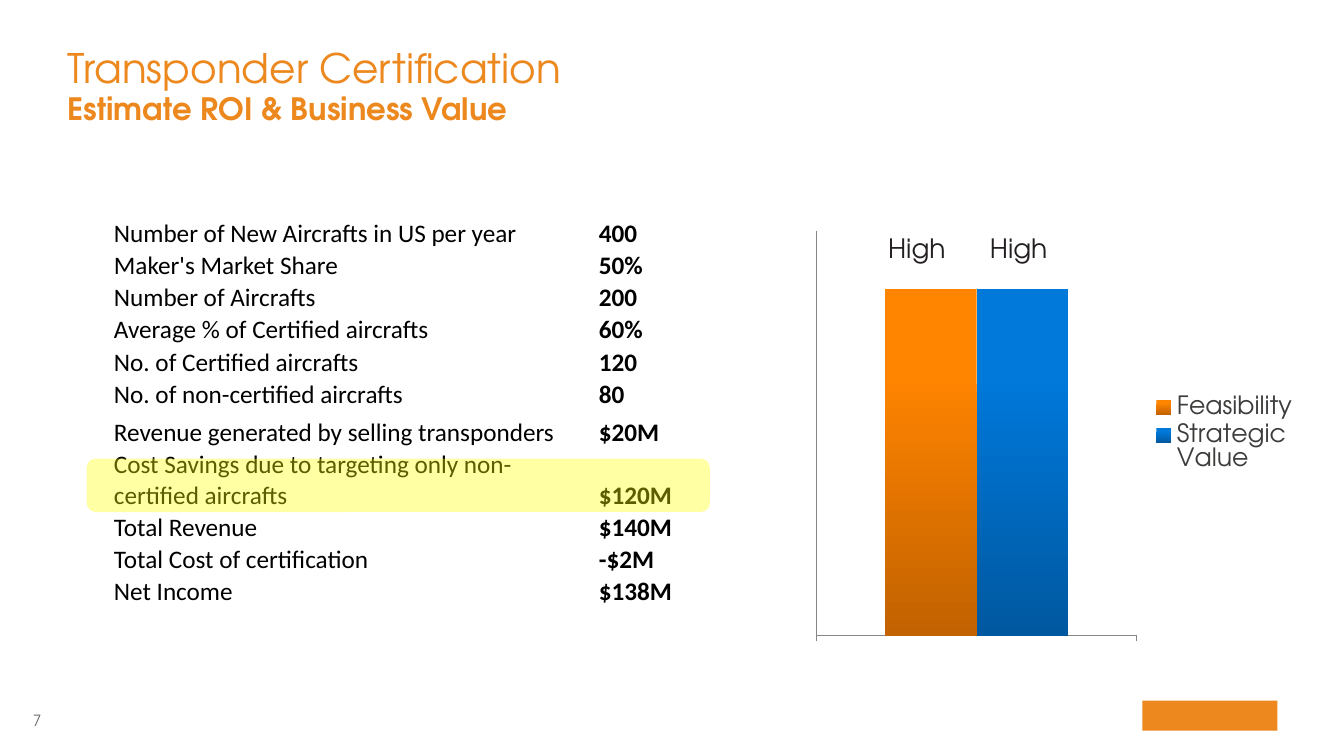
"""Build the transponder certification slide."""
from dataclasses import dataclass

from lxml import etree
from pptx import Presentation
from pptx.chart.data import CategoryChartData
from pptx.dml.color import RGBColor
from pptx.enum.chart import XL_CHART_TYPE, XL_LEGEND_POSITION, XL_TICK_LABEL_POSITION, XL_TICK_MARK
from pptx.enum.shapes import MSO_SHAPE
from pptx.enum.text import MSO_ANCHOR, MSO_AUTO_SIZE, PP_ALIGN
from pptx.oxml import parse_xml
from pptx.oxml.ns import nsdecls, qn
from pptx.util import Inches, Pt

COLUMN = XL_CHART_TYPE.COLUMN_CLUSTERED
RIGHT_SIDE = XL_LEGEND_POSITION.RIGHT
NO_LABEL = XL_TICK_LABEL_POSITION.NONE
NO_TICK, OUT_TICK = XL_TICK_MARK.NONE, XL_TICK_MARK.OUTSIDE
BLOCK, ROUND = MSO_SHAPE.RECTANGLE, MSO_SHAPE.ROUNDED_RECTANGLE
BOTTOM, NO_FIT = MSO_ANCHOR.BOTTOM, MSO_AUTO_SIZE.NONE
LEFT, RIGHT = PP_ALIGN.LEFT, PP_ALIGN.RIGHT

BRAND = "TeX Gyre Adventor"
ORANGE = "EC881D"
FLUSH = dict.fromkeys(("margin_left", "margin_right", "margin_top", "margin_bottom"), 0)
CELL = {
    "margin_left": Inches(0.01),
    "margin_right": Inches(0.01),
    "margin_top": Inches(0.01),
    "margin_bottom": 0,
    "vertical_anchor": BOTTOM,
}


@dataclass
class Row:
    """One line of the estimate."""
    label: str
    value: str
    height: float = 0.32


@dataclass
class Bar:
    """One chart series with its shading."""
    name: str
    value: int
    top: str
    base: str


@dataclass
class Note:
    """A short free text."""
    text: str
    box: tuple[float, float, float, float]
    size: float
    color: str
    frame: dict
    para: dict


@dataclass
class Patch:
    """A plain filled shape."""
    kind: int
    box: tuple[float, float, float, float]
    color: str
    alpha: int = 100


ROWS = [
    Row("Number of New Aircrafts in US per year", "400", 0.62),
    Row("Maker's Market Share", "50%"),
    Row("Number of Aircrafts", "200"),
    Row("Average % of Certified aircrafts", "60%"),
    Row("No. of Certified aircrafts", "120"),
    Row("No. of non-certified aircrafts", "80"),
    Row("Revenue generated by selling transponders", "$20M", 0.38),
    Row("Cost Savings due to targeting only non-certified aircrafts", "$120M", 0.62),
    Row("Total Revenue", "$140M"),
    Row("Total Cost of certification", "-$2M"),
    Row("Net Income", "$138M"),
]
BARS = [
    Bar("Feasibility", 100, "FF8400", "C26200"),
    Bar("Strategic Value", 100, "0079DB", "0058A0"),
]
NOTES = [
    Note("7", (0.22, 7.05, 0.19, 0.19), 11, "6C6C6C",
         FLUSH | {"word_wrap": False}, {"alignment": RIGHT}),
] + [
    Note("High", (8.71 + 1.01 * i, 2.27, 1.01, 0.41), 19, "231F20",
         {"word_wrap": True}, {"line_spacing": 0.95})
    for i in range(len(BARS))
]
PATCHES = [
    Patch(BLOCK, (11.33, 6.95, 1.34, 0.3), ORANGE),
    Patch(ROUND, (0.86, 4.55, 6.18, 0.53), "FFFF00", 36),
]


def apply(item, form: dict) -> None:
    """Set each format value on the item."""
    for key, value in form.items():
        setattr(item, key, value)


def paint(color, code: str) -> None:
    """Give a colour its hex value."""
    color.rgb = RGBColor.from_string(code)


def style(font, size: float, code: str, name: str = BRAND, bold: bool = False) -> None:
    """Format a font."""
    apply(font, {"size": Pt(size), "name": name, "bold": bold})
    paint(font.color, code)


def place(box: tuple) -> list:
    """Turn a box into lengths."""
    return [Inches(n) for n in box]


def add_title(slide) -> None:
    """Fill the title with its two lines."""
    title = slide.shapes.title
    apply(title, dict(zip(("left", "top", "width", "height"), place((0.67, 0.25, 12, 1.02)))))
    frame = title.text_frame
    apply(frame, FLUSH | {"vertical_anchor": BOTTOM, "word_wrap": True, "auto_size": NO_FIT})
    para = frame.paragraphs[0]
    apply(para, {"alignment": LEFT, "line_spacing": 0.95})
    head = para.add_run()
    head.text = "Transponder Certification"
    style(head.font, 29, ORANGE)
    para.add_line_break()
    sub = para.add_run()
    sub.text = "Estimate ROI & Business Value"
    style(sub.font, 22, ORANGE, bold=True)


def add_table(slide, rows: list[Row]) -> None:
    """Draw the estimate table."""
    box = (1.12, 1.85, 6.02, sum(row.height for row in rows))
    table = slide.shapes.add_table(len(rows), 2, *place(box)).table
    apply(table, {"first_row": False, "horz_banding": False})
    for col, width in zip(table.columns, (4.81, 1.21)):
        col.width = Inches(width)
    for line, row in zip(table.rows, rows):
        line.height = Inches(row.height)
        for cell, text, bold in zip(line.cells, (row.label, row.value), (False, True)):
            cell.fill.background()
            apply(cell, CELL)
            run = cell.text_frame.paragraphs[0].add_run()
            run.text = text
            style(run.font, 18, "000000", "Calibri", bold)


def set_layout(part, inner: bool, x: float, y: float, w: float, h: float) -> None:
    """Fix a chart part at fractions of the chart area."""
    for old in part.findall(qn("c:layout")):
        part.remove(old)
    target = '<c:layoutTarget val="inner"/>' if inner else ""
    sizes = "".join(f'<c:{k} val="{v}"/>' for k, v in zip("xywh", (x, y, w, h)))
    layout = parse_xml(
        f'<c:layout {nsdecls("c")}><c:manualLayout>{target}<c:xMode val="edge"/>'
        f'<c:yMode val="edge"/>{sizes}</c:manualLayout></c:layout>')
    part.insert(0 if inner else 1, layout)


def add_chart(slide, bars: list[Bar]) -> None:
    """Draw the rating columns."""
    data = CategoryChartData()
    data.categories = ["1"]
    for bar in bars:
        data.add_series(bar.name, [bar.value])
    chart = slide.shapes.add_chart(COLUMN, *place((8, 2.21, 4.96, 4.18)), data).chart
    apply(chart, {"has_title": False, "has_legend": True})
    style(chart.font, 18, "3C3C3B")
    apply(chart.legend, {"position": RIGHT_SIDE, "include_in_layout": False})
    plot = chart.plots[0]
    apply(plot, {"gap_width": 150, "overlap": 0, "vary_by_categories": False})
    form = {"has_major_gridlines": False, "tick_label_position": NO_LABEL,
            "minor_tick_mark": NO_TICK}
    for axis, tick in ((chart.category_axis, OUT_TICK), (chart.value_axis, NO_TICK)):
        apply(axis, form | {"major_tick_mark": tick})
        paint(axis.format.line.color, "868686")
        axis.format.line.width = Pt(0.75)
    apply(chart.value_axis, {"minimum_scale": 0, "maximum_scale": 116.7})
    for series, bar in zip(plot.series, bars):
        fill = series.format.fill
        fill.gradient()
        fill.gradient_angle = 270
        for stop, code, spot in zip(fill.gradient_stops, (bar.top, bar.base), (0.25, 1)):
            paint(stop.color, code)
            stop.position = spot
    area = chart.element.find(".//" + qn("c:plotArea"))
    set_layout(area, True, 0.02, 0.02, 0.64, 0.96)
    set_layout(chart.element.find(".//" + qn("c:legend")), False, 0.68, 0.4, 0.31, 0.2)


def add_note(slide, note: Note) -> None:
    """Write a free text."""
    frame = slide.shapes.add_textbox(*place(note.box)).text_frame
    apply(frame, note.frame)
    para = frame.paragraphs[0]
    apply(para, note.para)
    run = para.add_run()
    run.text = note.text
    style(run.font, note.size, note.color)


def add_patch(slide, patch: Patch) -> None:
    """Draw a filled shape with no outline."""
    shape = slide.shapes.add_shape(patch.kind, *place(patch.box))
    shape.shadow.inherit = False
    shape.fill.solid()
    paint(shape.fill.fore_color, patch.color)
    shape.line.fill.background()
    if patch.alpha < 100:
        tint = shape.element.spPr.find(".//" + qn("a:srgbClr"))
        etree.SubElement(tint, qn("a:alpha"), val=str(patch.alpha * 1000))


def main() -> None:
    """Build and save the deck."""
    deck = Presentation()
    apply(deck, {"slide_width": Inches(13.33), "slide_height": Inches(7.5)})
    slide = deck.slides.add_slide(deck.slide_layouts[5])
    add_title(slide)
    add_table(slide, ROWS)
    add_chart(slide, BARS)
    for note in NOTES:
        add_note(slide, note)
    for patch in PATCHES:
        add_patch(slide, patch)
    deck.save("out.pptx")


if __name__ == "__main__":
    main()
